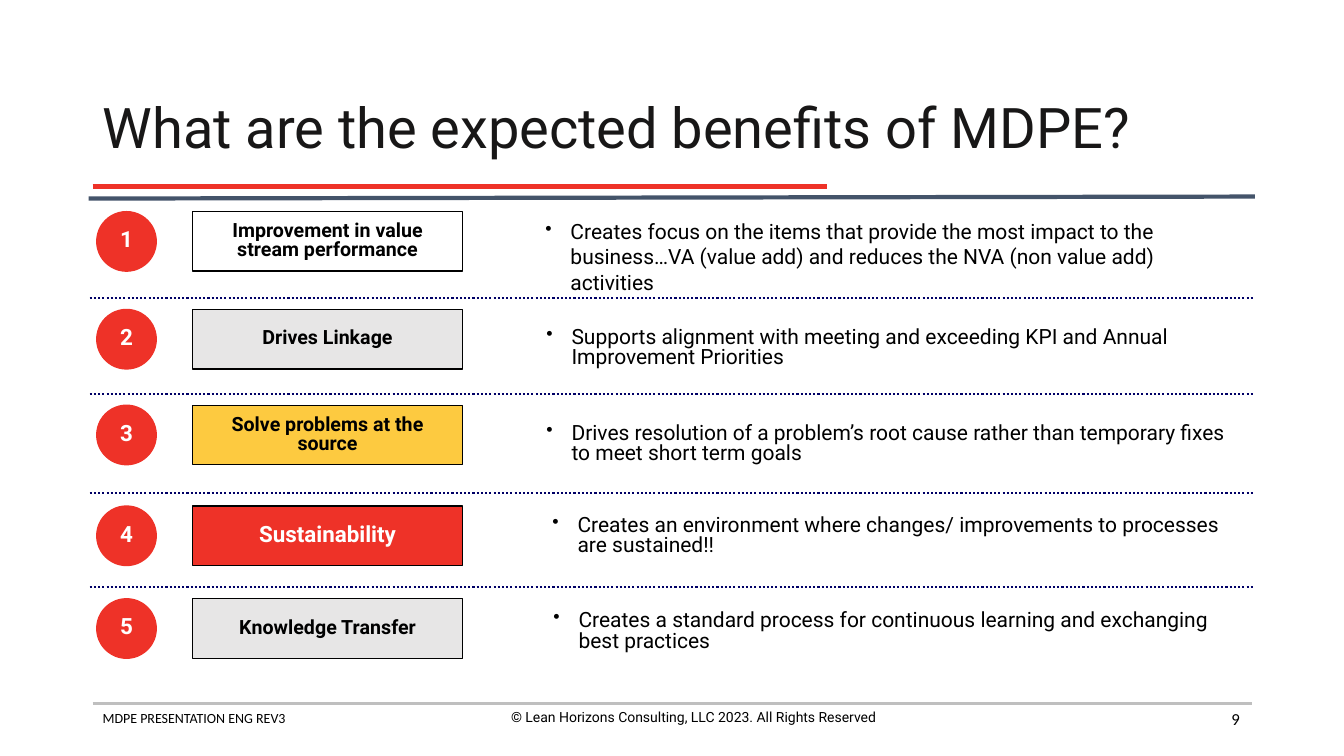
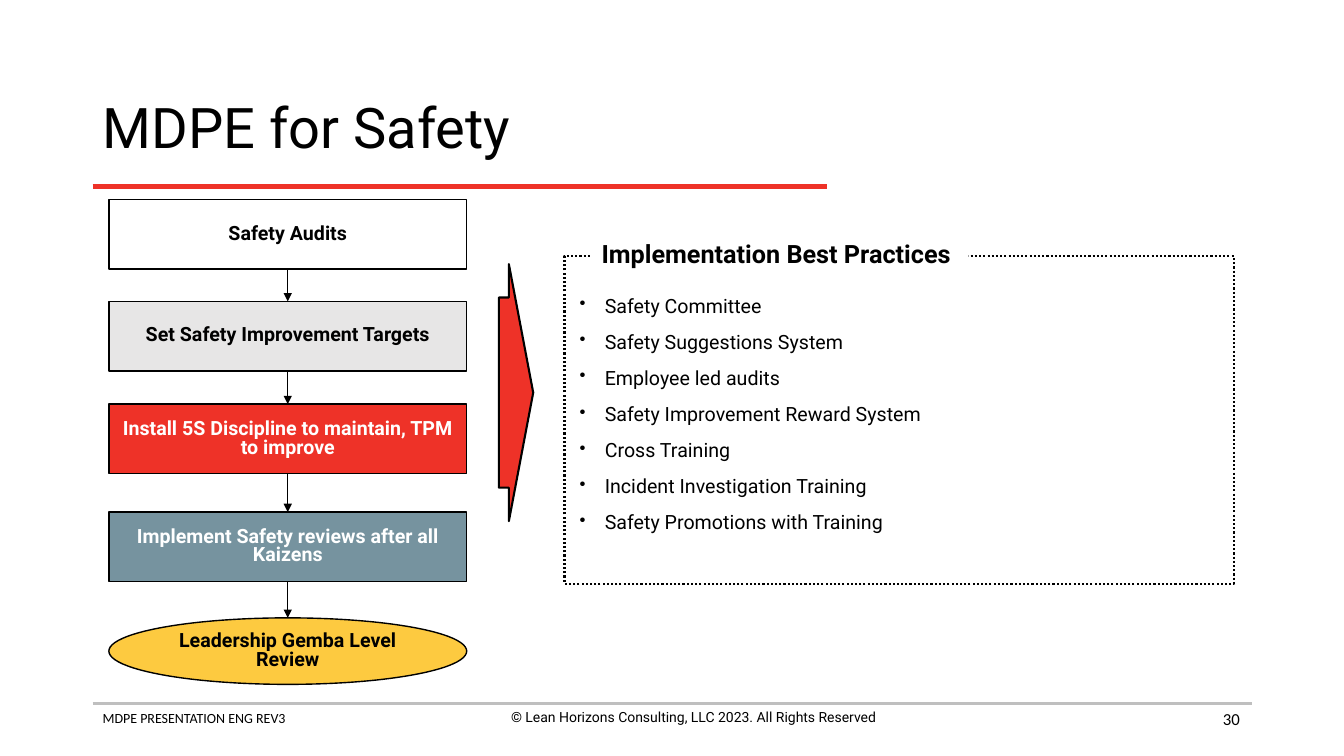
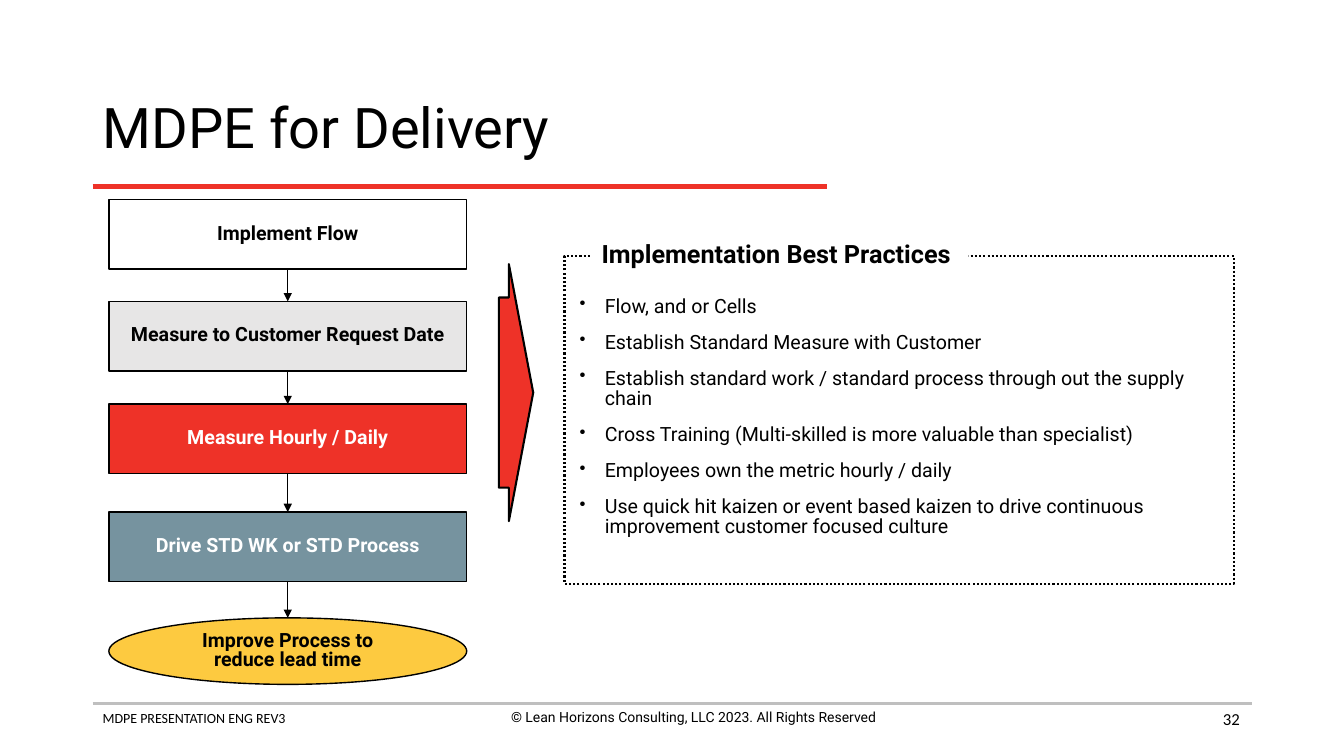
import pptx
import pptx.util
import pptx.dml.color
import pptx.enum.dml
import pptx.enum.shapes
import pptx.enum.text
import pptx.oxml.ns
import lxml.etree

GRID = pptx.util.Inches(0.1)
COLS, ROWS = 133.33, 75
SLIDE = (0, 0, COLS, ROWS)

BLACK, INK, WHITE = "000000", "181717", "FFFFFF"
RED, GOLD, STEEL = "EE3228", "FDCA40", "76939F"
GREY, RULE, SLATE, NAVY = "E7E6E6", "BFBFBF", "44546A", "000066"
FONT, SMALL_FONT = "Roboto", "Calibri"

SHAPE = pptx.enum.shapes.MSO_SHAPE
ALIGN = pptx.enum.text.PP_ALIGN
ANCHOR = pptx.enum.text.MSO_ANCHOR
DOTS = pptx.enum.dml.MSO_LINE.ROUND_DOT
qn = pptx.oxml.ns.qn


def rgb(color):
    return pptx.dml.color.RGBColor.from_string(color)


def emu(*lengths):
    return [round(n * GRID) for n in lengths]


def inside(box, col, row, width, height):
    return box[0] + col, box[1] + row, width, height


def write(s, text, size, color=BLACK, font=FONT, bold=False, align=ALIGN.LEFT,
          anchor=ANCHOR.TOP, spacing=1.0, after=0, bullet=False, wrap=True):
    tf = s.text_frame
    tf.text = text
    tf.word_wrap = wrap
    tf.auto_size = pptx.enum.text.MSO_AUTO_SIZE.NONE
    tf.vertical_anchor = anchor
    if bullet:
        tf.margin_left = tf.margin_right = pptx.util.Inches(0.08)
        tf.margin_top = tf.margin_bottom = pptx.util.Inches(0.04)
    for p in tf.paragraphs:
        if bullet:
            add_bullet(p)
        p.alignment = align
        p.line_spacing = spacing
        p.space_before = pptx.util.Pt(0)
        p.space_after = pptx.util.Pt(after)
        for r in p.runs:
            r.font.name = font
            r.font.size = pptx.util.Pt(size)
            r.font.bold = bold
            r.font.color.rgb = rgb(color)


def add_bullet(p):
    pPr = p._p.get_or_add_pPr()
    indent = pptx.util.Inches(0.25)
    pPr.set("marL", str(indent))
    pPr.set("indent", str(-indent))
    bu_color = lxml.etree.SubElement(pPr, qn("a:buClr"))
    lxml.etree.SubElement(bu_color, qn("a:srgbClr")).set("val", BLACK)
    lxml.etree.SubElement(pPr, qn("a:buSzPct")).set("val", "90000")
    lxml.etree.SubElement(pPr, qn("a:buChar")).set("char", "•")


def add_text(slide, box, text, size, **style):
    s = slide.shapes.add_textbox(*emu(*box))
    write(s, text, size, **style)


def add_shape(slide, kind, box, fill=None, line=None, width=1, dash=None):
    s = slide.shapes.add_shape(kind, *emu(*box))
    s.shadow.inherit = False
    if fill:
        s.fill.solid()
        s.fill.fore_color.rgb = rgb(fill)
    else:
        s.fill.background()
    if line:
        s.line.color.rgb = rgb(line)
        s.line.width = pptx.util.Pt(width)
        s.line.dash_style = dash
    else:
        s.line.fill.background()
    return s


def add_label(slide, kind, box, text, fill, size=14, line=BLACK, wrap=True):
    s = add_shape(slide, kind, box, fill, line)
    color = WHITE if fill in (RED, STEEL) else BLACK
    write(s, text, size, color=color, bold=True, align=ALIGN.CENTER,
          anchor=ANCHOR.MIDDLE, spacing=0.8, wrap=wrap)
    return s


def add_line(slide, start, end, color, width, dash=None, arrow=False):
    c = slide.shapes.add_connector(
        pptx.enum.shapes.MSO_CONNECTOR.STRAIGHT, *emu(*start, *end))
    c.line.color.rgb = rgb(color)
    c.line.width = pptx.util.Pt(width)
    c.line.dash_style = dash
    spPr = c.element.spPr
    if arrow:
        tail = lxml.etree.SubElement(spPr.find(qn("a:ln")), qn("a:tailEnd"))
        tail.set("type", "triangle")
    lxml.etree.SubElement(spPr, qn("a:effectLst"))
    return c


def new_slide(prs, title, number, color=BLACK):
    slide = prs.slides.add_slide(prs.slide_layouts[5])
    s = slide.shapes.title
    s.left, s.top, s.width, s.height = emu(9.2, 7.4, 115, 11)
    write(s, title, 40, color=color, anchor=ANCHOR.MIDDLE, spacing=0.9)
    add_line(slide, (9.2, 18.5), (82, 18.5), RED, 3)
    footer(slide, (9.2, 69.8, 115, 4.4), number)
    return slide


def footer(slide, box, number):
    left, top, width, height = box
    third = 45.6
    add_line(slide, (left, top), (left + width, top), RULE, 2)
    add_text(slide, inside(box, 0, 0.1, third, height),
             "MDPE PRESENTATION ENG REV3", 10, font=SMALL_FONT)
    add_text(slide, inside(box, 36.8, 0, third, height),
             "© Lean Horizons Consulting, LLC 2023. All Rights Reserved", 10,
             align=ALIGN.CENTER)
    add_text(slide, inside(box, width - 30.2, -0.5, 30, 4), str(number), 12,
             font=SMALL_FONT, align=ALIGN.RIGHT, anchor=ANCHOR.MIDDLE)


def benefit_row(slide, box, number, label, fill, size, bullet, shift, drop):
    height = box[3]
    add_label(slide, SHAPE.OVAL, inside(box, 0, 0, height, height),
              str(number), RED, size=16, line=RED, wrap=False)
    add_label(slide, SHAPE.RECTANGLE, inside(box, 9.5, 0, 26.8, height),
              label, fill, size=size)
    add_text(slide, inside(box, 43.8 + shift, drop, 69.7, 4.6), bullet, 15,
             bullet=True, spacing=1.0 if number == 1 else 0.8)


def benefits_slide(prs, rows):
    slide = new_slide(prs, "What are the expected benefits of MDPE?", 9, INK)
    add_line(slide, (8.8, 19.7), (124.5, 19.5), SLATE, 3)
    for row in (29.6, 39.1, 48.9, 58.2):
        add_line(slide, (8.9, row), (124.3, row), NAVY, 1.5, DOTS)
    for number, (top, *parts) in enumerate(rows, 1):
        benefit_row(slide, (9.6, top, 114, 5.9), number, *parts)


def flow(slide, box, steps):
    tops = (0, 10.1, 20.3, 31, 41.5)
    fills = (WHITE, GREY, RED, STEEL, GOLD)
    above = None
    for top, fill, step in zip(tops, fills, steps):
        last = fill == GOLD
        s = add_label(slide, SHAPE.OVAL if last else SHAPE.RECTANGLE,
                      inside(box, 0, top, box[2], 6.6 if last else 6.9),
                      step, fill)
        if above:
            c = add_line(slide, (0, 0), (0, 0), BLACK, 1, arrow=True)
            c.begin_connect(above, 2)
            c.end_connect(s, 0)
        above = s


def practices_panel(slide, box, practices):
    add_shape(slide, SHAPE.RECTANGLE, box, line=BLACK, width=1.5, dash=DOTS)
    heading = add_shape(slide, SHAPE.RECTANGLE,
                        inside(box, 2.7, -1.7, 37.4, 3.5), WHITE)
    write(heading, "Implementation Best Practices", 18, bold=True, spacing=0.8)
    add_text(slide, inside(box, 0.7, 3.7, 65.8, 26), "\n".join(practices), 14,
             bullet=True, spacing=0.85, after=11.5)


def process_slide(prs, title, number, steps, practices):
    slide = new_slide(prs, title, number)
    flow(slide, (10.8, 19.8, 35.5, 48.1), steps)
    arrow = add_shape(slide, SHAPE.RIGHT_ARROW, (49.5, 26.2, 3.4, 25.5),
                      RED, BLACK, 1.5)
    arrow.adjustments[0], arrow.adjustments[1] = 0.74, 0.71
    practices_panel(slide, (56, 25.4, 66.4, 32.5), practices)


BENEFITS = [
    (21, "Improvement in value stream performance", WHITE, 14,
     "Creates focus on the items that provide the most impact to the "
     "business…VA (value add) and reduces the NVA (non value add) activities",
     -0.1, 0.3),
    (30.7, "Drives Linkage", GREY, 14,
     "Supports alignment with meeting and exceeding KPI and Annual "
     "Improvement Priorities", 0, 1.5),
    (40.2, "Solve problems at the source", GOLD, 14,
     "Drives resolution of a problem’s root cause rather than temporary "
     "fixes to meet short term goals", 0, 1.5),
    (50.2, "Sustainability", RED, 16,
     "Creates an environment where changes/ improvements to processes "
     "are sustained!!", 0.6, 0.6),
    (59.4, "Knowledge Transfer", GREY, 14,
     "Creates a standard process for continuous learning and exchanging "
     "best practices", 0.7, 0.9),
]

SAFETY_STEPS = [
    "Safety Audits",
    "Set Safety Improvement Targets",
    "Install 5S Discipline to maintain, TPM to improve",
    "Implement Safety reviews after all Kaizens",
    "Leadership Gemba Level Review",
]
SAFETY_PRACTICES = [
    "Safety Committee",
    "Safety Suggestions System",
    "Employee led audits",
    "Safety Improvement Reward System",
    "Cross Training",
    "Incident Investigation Training",
    "Safety Promotions with Training",
]

DELIVERY_STEPS = [
    "Implement Flow",
    "Measure to Customer Request Date",
    "Measure Hourly / Daily",
    "Drive STD WK or STD Process",
    "Improve Process to reduce lead time",
]
DELIVERY_PRACTICES = [
    "Flow, and or Cells",
    "Establish Standard Measure with Customer",
    "Establish standard work / standard process through out the supply chain",
    "Cross Training (Multi-skilled is more valuable than specialist)",
    "Employees own the metric hourly / daily",
    "Use quick hit kaizen or event based kaizen to drive continuous "
    "improvement customer focused culture",
]


def main():
    prs = pptx.Presentation()
    prs.slide_width, prs.slide_height = emu(*SLIDE[2:])
    benefits_slide(prs, BENEFITS)
    process_slide(prs, "MDPE for Safety", 30, SAFETY_STEPS, SAFETY_PRACTICES)
    process_slide(prs, "MDPE for Delivery", 32, DELIVERY_STEPS,
                  DELIVERY_PRACTICES)
    prs.save("out.pptx")


if __name__ == "__main__":
    main()
